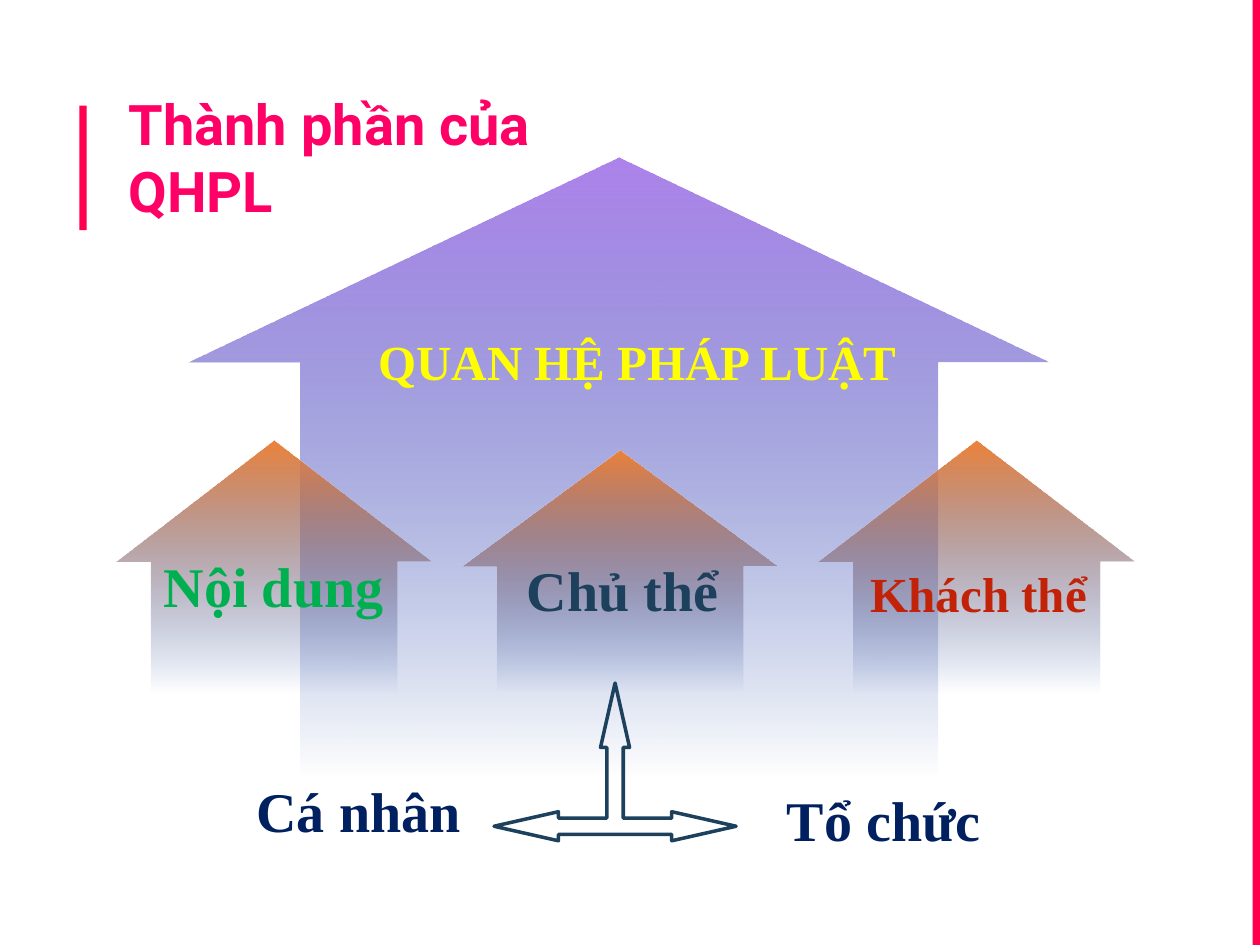
from lxml import etree
from pptx import Presentation
from pptx.dml.color import RGBColor
from pptx.enum.shapes import MSO_SHAPE
from pptx.enum.text import MSO_ANCHOR, MSO_AUTO_SIZE, PP_ALIGN
from pptx.oxml.ns import qn
from pptx.util import Cm, Pt

RECTANGLE = MSO_SHAPE.RECTANGLE
UP_ARROW = MSO_SHAPE.UP_ARROW
THREE_WAY_ARROW = MSO_SHAPE.LEFT_RIGHT_UP_ARROW
MIDDLE = MSO_ANCHOR.MIDDLE
TOP = MSO_ANCHOR.TOP
NO_AUTOFIT = MSO_AUTO_SIZE.NONE
GROW = MSO_AUTO_SIZE.SHAPE_TO_FIT_TEXT
LEFT = PP_ALIGN.LEFT
CENTER = PP_ALIGN.CENTER

ACCENT = RGBColor(0xFF, 0x00, 0x4E)
TITLE_PINK = RGBColor(0xFF, 0x00, 0x66)
PURPLE = RGBColor(0xAD, 0x83, 0xEB)
ORANGE = RGBColor(0xEC, 0x82, 0x3A)
FADE_BLUE = RGBColor(0x00, 0x33, 0x99)
SLATE = RGBColor(0x1D, 0x40, 0x5D)
RED = RGBColor(0xC2, 0x23, 0x08)
GREEN = RGBColor(0x00, 0xB0, 0x50)
YELLOW = RGBColor(0xFF, 0xFF, 0x00)
NAVY = RGBColor(0x00, 0x20, 0x60)

SLIDE_WIDTH = 25.4
SLIDE_HEIGHT = 19.05
BAR_WIDTH = 0.15
HOUSE_WIDTH = 6.35


def write_text(box, text, size, color, font="Times New Roman", align=CENTER,
               anchor=TOP, autofit=GROW):
    frame = box.text_frame
    frame.word_wrap = True
    frame.auto_size = autofit
    frame.vertical_anchor = anchor
    para = frame.paragraphs[0]
    para.alignment = align
    para.line_spacing = 1.0
    para.space_before = Pt(0)
    span = para.add_run()
    span.text = text
    span.font.name = font
    span.font.size = Pt(size)
    span.font.bold = True
    span.font.color.rgb = color


def add_title(slide, text):
    title = slide.shapes.title
    title.left, title.top = Cm(2.34), Cm(1.57)
    title.width, title.height = Cm(10.13), Cm(3.18)
    frame = title.text_frame
    frame.margin_left = frame.margin_right = Cm(0.25)
    frame.margin_top = frame.margin_bottom = Cm(0.25)
    write_text(title, text, 32, TITLE_PINK, font="Roboto", align=LEFT,
               anchor=MIDDLE, autofit=NO_AUTOFIT)


def add_label(slide, text, left, top, width, color, size=32):
    height = 1.63 if size == 32 else 1.45
    box = slide.shapes.add_textbox(Cm(left), Cm(top), Cm(width), Cm(height))
    write_text(box, text, size, color)


def add_preset(slide, preset, left, top, width, height, adjustments=()):
    shape = slide.shapes.add_shape(preset, Cm(left), Cm(top), Cm(width), Cm(height))
    shape.shadow.inherit = False
    for index, value in enumerate(adjustments):
        shape.adjustments[index] = value
    return shape


def add_bar(slide, left, top, height):
    bar = add_preset(slide, RECTANGLE, left, top, BAR_WIDTH, height)
    bar.fill.solid()
    bar.fill.fore_color.rgb = ACCENT
    bar.line.fill.background()


def add_house(slide, left, top, width, height, adjustments, color):
    house = add_preset(slide, UP_ARROW, left, top, width, height, adjustments)
    house.line.fill.background()
    house.fill.gradient()
    house.fill.gradient_angle = 270
    for stop, stop_color in zip(house.fill.gradient_stops, (color, FADE_BLUE)):
        stop.color.rgb = stop_color
    last_color = house._element.findall(".//" + qn("a:gs"))[-1][0]
    etree.SubElement(last_color, qn("a:alpha"), val="0")


def add_branch_arrow(slide):
    arrow = add_preset(slide, THREE_WAY_ARROW, 9.96, 13.77, 4.88, 3.18,
                       (0.104, 0.092, 0.432))
    arrow.fill.background()
    arrow.line.color.rgb = SLATE
    arrow.line.width = Pt(2)


def main():
    deck = Presentation()
    deck.slide_width = Cm(SLIDE_WIDTH)
    deck.slide_height = Cm(SLIDE_HEIGHT)
    slide = deck.slides.add_slide(deck.slide_layouts[5])

    add_bar(slide, 1.6, 2.13, 2.51)
    add_bar(slide, SLIDE_WIDTH - BAR_WIDTH, 0, SLIDE_HEIGHT)
    add_title(slide, "Thành phần của QHPL")

    add_house(slide, 3.81, 3.18, 17.35, 12.5, (0.74, 0.33), PURPLE)
    for left, top, height in ((2.34, 8.89, 5.08), (9.32, 9.09, 4.85), (16.51, 8.89, 5.08)):
        add_house(slide, left, top, HOUSE_WIDTH, height, (0.78, 0.48), ORANGE)

    add_label(slide, "Chủ thể", 10.16, 11.07, 4.78, SLATE)
    add_label(slide, "Khách thể", 17.15, 11.23, 5.16, RED, size=28)
    add_label(slide, "Nội dung", 2.74, 11, 5.56, GREEN)
    add_label(slide, "QUAN HỆ PHÁP LUẬT", 6.55, 6.55, 12.6, YELLOW, size=28)
    add_branch_arrow(slide)
    add_label(slide, "Cá nhân", 4.45, 15.52, 5.56, NAVY)
    add_label(slide, "Tổ chức", 15.04, 15.72, 5.56, NAVY)

    deck.save("out.pptx")


if __name__ == "__main__":
    main()
